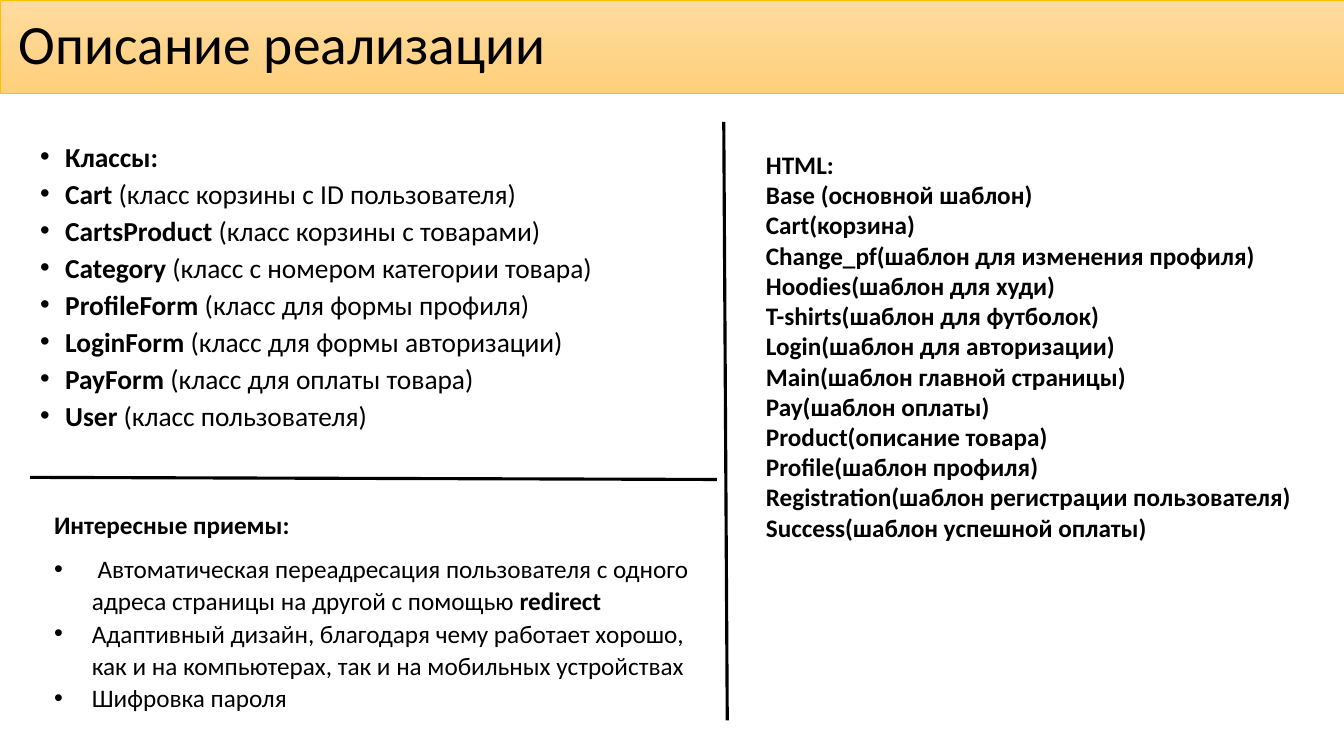
from dataclasses import dataclass

from lxml import etree
from pptx import Presentation
from pptx.dml.color import RGBColor
from pptx.enum.shapes import MSO_CONNECTOR, MSO_SHAPE
from pptx.enum.text import MSO_ANCHOR, MSO_AUTO_SIZE
from pptx.oxml.ns import qn
from pptx.util import Pt

RECTANGLE = MSO_SHAPE.RECTANGLE
STRAIGHT = MSO_CONNECTOR.STRAIGHT
TOP, MIDDLE = MSO_ANCHOR.TOP, MSO_ANCHOR.MIDDLE
GROW, FIXED = MSO_AUTO_SIZE.SHAPE_TO_FIT_TEXT, MSO_AUTO_SIZE.NONE


@dataclass(frozen=True)
class Theme:
    font: str = "Calibri"
    ink: RGBColor = RGBColor(0, 0, 0)
    band_top: RGBColor = RGBColor(0xFF, 0xDB, 0x9E)
    band_bottom: RGBColor = RGBColor(0xFF, 0xD0, 0x7C)
    band_edge: RGBColor = RGBColor(0xFF, 0xC0, 0x00)
    title_size: float = 39.6
    class_size: float = 19.6
    text_size: float = 18


THEME = Theme()

CLASSES = [
    ("Классы:", ""),
    ("Cart ", "(класс корзины с ID пользователя)"),
    ("CartsProduct ", "(класс корзины с товарами)"),
    ("Category ", "(класс с номером категории товара)"),
    ("ProfileForm ", "(класс для формы профиля)"),
    ("LoginForm ", "(класс для формы авторизации)"),
    ("PayForm ", "(класс для оплаты товара)"),
    ("User ", "(класс пользователя)"),
]

TEMPLATES = [
    "HTML:",
    "Base (основной шаблон)",
    "Cart(корзина)",
    "Change_pf(шаблон для изменения профиля)",
    "Hoodies(шаблон для худи)",
    "T-shirts(шаблон для футболок)",
    "Login(шаблон для авторизации)",
    "Main(шаблон главной страницы)",
    "Pay(шаблон оплаты)",
    "Product(описание товара)",
    "Profile(шаблон профиля)",
    "Registration(шаблон регистрации пользователя)",
    "Success(шаблон успешной оплаты)",
]

REDIRECT = " Автоматическая переадресация пользователя с одного адреса страницы на другой с помощью "
ADAPTIVE = ("Адаптивный дизайн, благодаря чему работает хорошо, "
            "как и на компьютерах, так и на мобильных устройствах")


def add_band(page, left, top, width, height):
    band = page.shapes.add_shape(RECTANGLE, Pt(left), Pt(top), Pt(width), Pt(height))
    band.shadow.inherit = False
    band.fill.gradient()
    band.fill.gradient_angle = 270
    for stop, color in zip(band.fill.gradient_stops, (THEME.band_top, THEME.band_bottom)):
        stop.color.rgb = color
    band.line.color.rgb = THEME.band_edge
    band.line.width = Pt(0.5)


def add_divider(page, start, end):
    divider = page.shapes.add_connector(STRAIGHT, *map(Pt, start + end))
    divider.line.color.rgb = THEME.ink
    divider.line.width = Pt(2.25)
    etree.SubElement(divider._element.spPr, qn("a:effectLst"))


def add_box(page, left, top, width, height, anchor=TOP, fit=FIXED):
    box = page.shapes.add_textbox(Pt(left), Pt(top), Pt(width), Pt(height))
    frame = box.text_frame
    frame.word_wrap = True
    frame.auto_size = fit
    frame.vertical_anchor = anchor
    return frame


def add_bullet(para, indent):
    properties = para._p.get_or_add_pPr()
    properties.set("marL", str(Pt(indent)))
    properties.set("indent", str(-Pt(indent)))
    etree.SubElement(properties, qn("a:buFont"), typeface="Arial")
    etree.SubElement(properties, qn("a:buChar"), char="•")


def add_para(frame, *, spacing=1.0, before=0, after=0, indent=0):
    first = frame.paragraphs[0]
    para = frame.add_paragraph() if first.runs else first
    para.line_spacing = spacing
    para.space_before = Pt(before)
    para.space_after = Pt(after)
    if indent:
        add_bullet(para, indent)
    return para


def add_span(para, text, *, size=THEME.text_size, bold=False):
    span = para.add_run()
    span.text = text
    span.font.name = THEME.font
    span.font.size = Pt(size)
    span.font.bold = bold
    span.font.color.rgb = THEME.ink


def main():
    deck = Presentation()
    deck.slide_width, deck.slide_height = Pt(960), Pt(540)
    page = deck.slides.add_slide(deck.slide_layouts[6])

    # Title band
    add_band(page, 0, 0, 960, 66.5)
    title = add_box(page, 6.5, 9.5, 828, 48, anchor=MIDDLE)
    add_span(add_para(title, spacing=0.9), "Описание реализации", size=THEME.title_size)

    # Classes
    classes = add_box(page, 21.5, 103, 423, 256)
    for name, meaning in CLASSES:
        para = add_para(classes, spacing=0.7, before=10, indent=18)
        add_span(para, name, size=THEME.class_size, bold=True)
        if meaning:
            add_span(para, meaning, size=THEME.class_size)

    # HTML templates
    templates = add_box(page, 540, 103, 420, 312.5, fit=GROW)
    for template in TEMPLATES:
        add_span(add_para(templates), template, bold=True)

    # Techniques
    techniques = add_box(page, 31.5, 359, 480, 155.5, fit=GROW)
    add_span(add_para(techniques, spacing=1.07, after=8), "Интересные приемы:", bold=True)
    redirect = add_para(techniques, spacing=1.07, indent=27)
    add_span(redirect, REDIRECT)
    add_span(redirect, "redirect", bold=True)
    add_span(add_para(techniques, spacing=1.07, indent=27), ADAPTIVE)
    add_span(add_para(techniques, spacing=1.07, after=8, indent=27), "Шифровка пароля")

    # Dividers
    add_divider(page, (517, 87), (519.5, 514.5))
    add_divider(page, (21.5, 341), (512, 342.5))

    deck.save("out.pptx")


if __name__ == "__main__":
    main()
